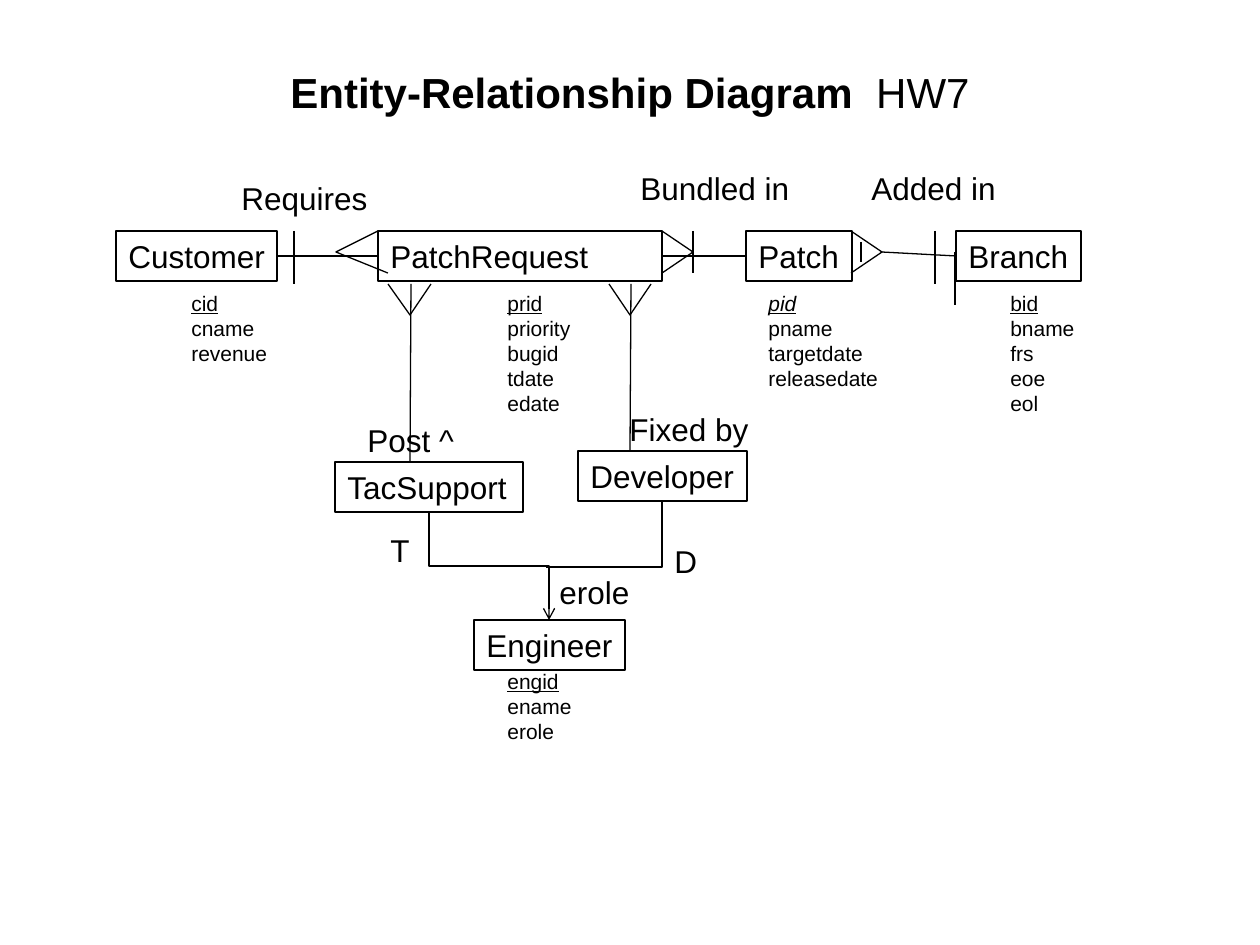
from dataclasses import dataclass

from lxml import etree
from pptx import Presentation
from pptx.dml.color import RGBColor
from pptx.enum.shapes import MSO_CONNECTOR, MSO_SHAPE
from pptx.enum.text import MSO_ANCHOR, MSO_AUTO_SIZE, PP_ALIGN
from pptx.oxml.ns import qn
from pptx.util import Pt

STRAIGHT, ELBOW = MSO_CONNECTOR.STRAIGHT, MSO_CONNECTOR.ELBOW
RECTANGLE = MSO_SHAPE.RECTANGLE
MIDDLE = MSO_ANCHOR.MIDDLE
LEFT, CENTER = PP_ALIGN.LEFT, PP_ALIGN.CENTER
FIT_SHAPE = MSO_AUTO_SIZE.SHAPE_TO_FIT_TEXT
TOP_SIDE, LEFT_SIDE, BOTTOM_SIDE, RIGHT_SIDE = range(4)

EMU_PER_PX = 914400 / 126
COLORS = {"ink": "000000", "page": "FFFFFF"}
FONT = "Arial"
LINE_WIDTH = Pt(0.75)
ROW_Y, ATTRIBUTES_Y = 231, 284
BOX_HEIGHT = 50


@dataclass
class Label:
    text: str
    x: int
    y: int
    width: int


@dataclass
class Attributes:
    names: list[str]
    x: int
    y: int
    width: int
    italic_key: bool = False


ENTITIES = [
    Label("Customer", 116, ROW_Y, 161),
    Label("PatchRequest", 378, ROW_Y, 284),
    Label("Patch", 746, ROW_Y, 106),
    Label("Branch", 956, ROW_Y, 125),
    Label("Engineer", 474, 620, 151),
    Label("Developer", 578, 451, 169),
    Label("TacSupport", 335, 462, 188),
]
RELATIONSHIPS = [
    Label("Requires", 229, 173, 151),
    Label("Bundled in", 628, 163, 174),
    Label("Added in", 859, 163, 149),
    Label("Post ^", 355, 415, 111),
    Label("Fixed by", 617, 404, 144),
    Label("erole", 547, 567, 95),
    Label("T", 378, 525, 44),
    Label("D", 662, 536, 48),
]
ATTRIBUTE_LISTS = [
    Attributes(["cid", "cname", "revenue"], 179, ATTRIBUTES_Y, 101),
    Attributes(["prid", "priority", "bugid", "tdate", "edate"], 495, ATTRIBUTES_Y, 88),
    Attributes(["pid", "pname", "targetdate", "releasedate"], 756, ATTRIBUTES_Y, 135,
               italic_key=True),
    Attributes(["bid", "bname", "frs", "eoe", "eol"], 998, ATTRIBUTES_Y, 89),
    Attributes(["engid", "ename", "erole"], 495, 662, 89),
]
CROWS_FEET = [
    [(378, 231), (336, 252), (388, 273)],
    [(662, 231), (693, 252), (662, 273)],
    [(851, 231), (882, 252), (851, 273)],
    [(388, 284), (410, 315), (431, 284)],
    [(609, 284), (630, 315), (651, 284)],
]
# Cardinality ticks, then the two lines that rise to PatchRequest
PLAIN_LINES = [
    ((294, 231), (294, 284)),
    ((693, 231), (693, 273)),
    ((861, 242), (861, 262)),
    ((935, 231), (935, 284)),
    ((955, 252), (955, 305)),
    ((410, 462), (411, 284)),
    ((630, 451), (631, 284)),
]


def px(length: float) -> int:
    return round(length * EMU_PER_PX)


def ink() -> RGBColor:
    return RGBColor.from_string(COLORS["ink"])


def style_line(drawn) -> None:
    drawn.line.color.rgb = ink()
    drawn.line.width = LINE_WIDTH


def set_text(shape, lines: list[str], size: int) -> None:
    frame = shape.text_frame
    frame.text = "\n".join(lines)
    frame.word_wrap = True
    frame.auto_size = FIT_SHAPE
    frame.margin_right = 0  # room to keep each label on one line
    for paragraph in frame.paragraphs:
        paragraph.alignment = LEFT
        for run in paragraph.runs:
            run.font.name, run.font.size = FONT, Pt(size)
            run.font.color.rgb = ink()


def draw_entity(slide, entity: Label):
    box = slide.shapes.add_shape(RECTANGLE, px(entity.x), px(entity.y),
                                 px(entity.width), px(BOX_HEIGHT))
    box.shadow.inherit = False
    box.fill.background()
    style_line(box)
    set_text(box, [entity.text], 18)
    return box


def draw_relationship(slide, label: Label) -> None:
    box = slide.shapes.add_textbox(px(label.x), px(label.y),
                                   px(label.width), px(BOX_HEIGHT))
    set_text(box, [label.text], 18)


def draw_attributes(slide, attributes: Attributes) -> None:
    height = 13 + 25 * len(attributes.names)
    box = slide.shapes.add_textbox(px(attributes.x), px(attributes.y),
                                   px(attributes.width), px(height))
    set_text(box, attributes.names, 12)
    key_font = box.text_frame.paragraphs[0].runs[0].font
    key_font.underline = True
    if attributes.italic_key:
        key_font.italic = True


def draw_line(slide, start: tuple[int, int], end: tuple[int, int], kind=STRAIGHT):
    line = slide.shapes.add_connector(kind, *map(px, (*start, *end)))
    style_line(line)
    etree.SubElement(line._element.spPr, qn("a:effectLst"))
    return line


def draw_crows_foot(slide, points: list[tuple[int, int]]) -> None:
    builder = slide.shapes.build_freeform(*points[0], scale=EMU_PER_PX)
    builder.add_line_segments(points[1:], close=False)
    foot = builder.convert_to_shape()
    foot.shadow.inherit = False
    foot.fill.background()
    style_line(foot)


def turn_downward(elbow, start: tuple[int, int], end: tuple[int, int]) -> None:
    """Rotate an elbow about its centre so that it leaves its start vertically."""
    across, down = end[0] - start[0], end[1] - start[1]
    width, height = down, abs(across)
    elbow.left = px((start[0] + end[0] - width) / 2)
    elbow.top = px((start[1] + end[1] - height) / 2)
    elbow.width, elbow.height = px(width), px(height)
    transform = elbow._element.spPr.find(qn("a:xfrm"))
    transform.set("rot", "16200000" if across > 0 else "5400000")
    transform.set("flipH", "1" if across > 0 else "0")


def main() -> None:
    deck = Presentation()
    deck.slide_width, deck.slide_height = px(1260), px(945)
    slide = deck.slides.add_slide(deck.slide_layouts[5])
    slide.background.fill.solid()
    slide.background.fill.fore_color.rgb = RGBColor.from_string(COLORS["page"])

    # Title, raised above the middle of its placeholder
    title = slide.shapes.title
    title.left, title.top, title.width, title.height = map(px, (63, 38, 1134, 157))
    title.text_frame.vertical_anchor = MIDDLE
    title.text_frame.margin_bottom = px(56)
    heading = title.text_frame.paragraphs[0]
    heading.alignment = CENTER
    for words, bold in (("Entity-Relationship Diagram  ", True), ("HW7", False)):
        run = heading.add_run()
        run.text = words
        run.font.name, run.font.size, run.font.bold = FONT, Pt(24), bold
        run.font.color.rgb = ink()

    # Entities with their attributes and relationship names
    boxes = {entity.text: draw_entity(slide, entity) for entity in ENTITIES}
    for label in RELATIONSHIPS:
        draw_relationship(slide, label)
    for attributes in ATTRIBUTE_LISTS:
        draw_attributes(slide, attributes)

    # Relationship lines along the top row
    for left, right in (("Customer", "PatchRequest"), ("PatchRequest", "Patch")):
        link = draw_line(slide, (0, 0), (0, 0))
        link.begin_connect(boxes[left], RIGHT_SIDE)
        link.end_connect(boxes[right], LEFT_SIDE)
    added_in = draw_line(slide, (882, 252), (956, 256))
    added_in.end_connect(boxes["Branch"], LEFT_SIDE)
    for start, end in PLAIN_LINES:
        draw_line(slide, start, end)
    for points in CROWS_FEET:
        draw_crows_foot(slide, points)

    # Engineer roles: an arrow from TacSupport, joined by a branch from Developer
    start, end = (429, 512), (549, 620)
    tac_role = draw_line(slide, start, end, ELBOW)
    tac_role.begin_connect(boxes["TacSupport"], BOTTOM_SIDE)
    tac_role.end_connect(boxes["Engineer"], TOP_SIDE)
    turn_downward(tac_role, start, end)
    etree.SubElement(tac_role.line._get_or_add_ln(), qn("a:tailEnd"), type="arrow")

    start, end = (662, 501), (546, 567)
    developer_role = draw_line(slide, start, end, ELBOW)
    developer_role.begin_connect(boxes["Developer"], BOTTOM_SIDE)
    turn_downward(developer_role, start, end)
    developer_role._element.spPr.find(qn("a:prstGeom")).set("prst", "bentConnector2")

    deck.save("out.pptx")


if __name__ == "__main__":
    main()
